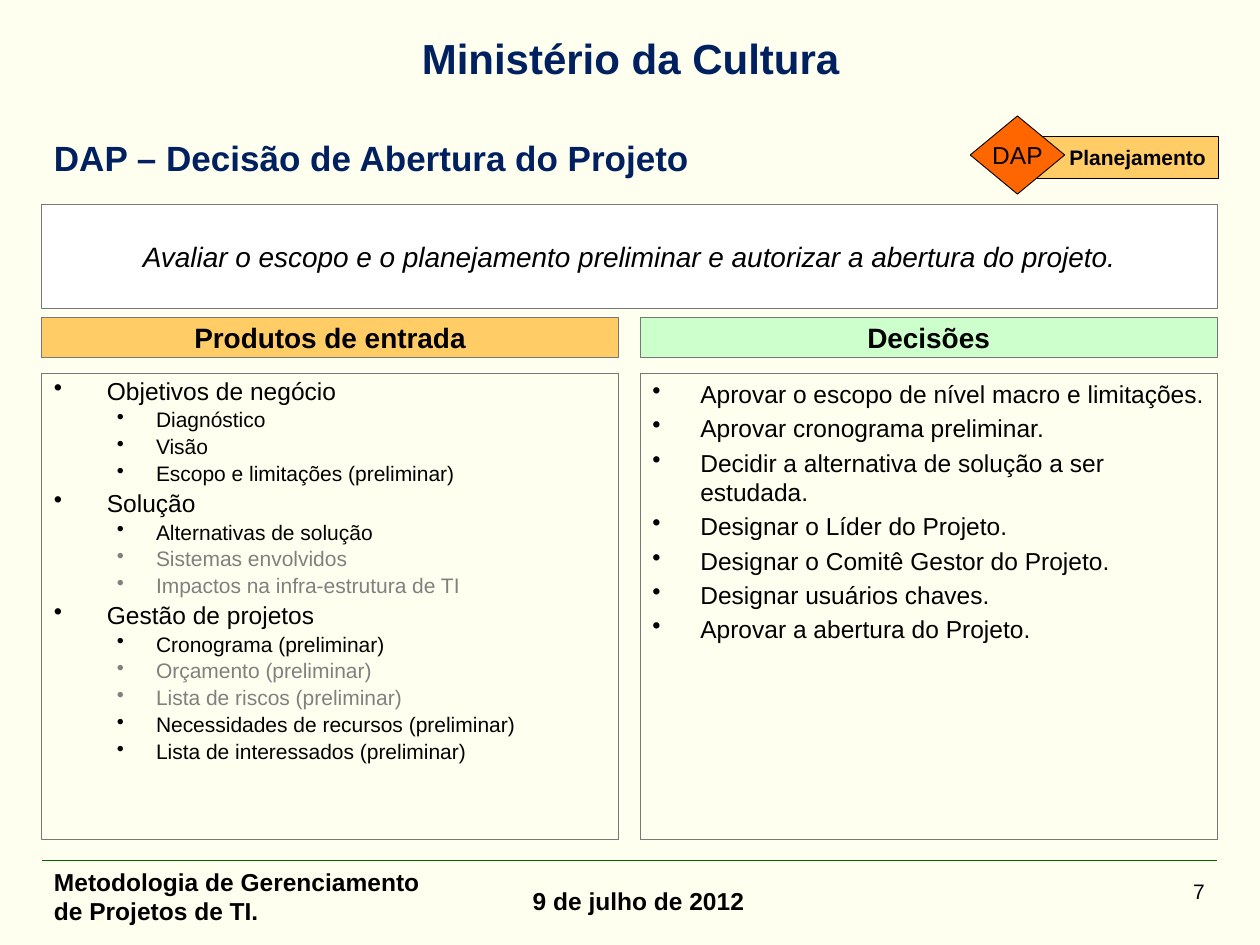
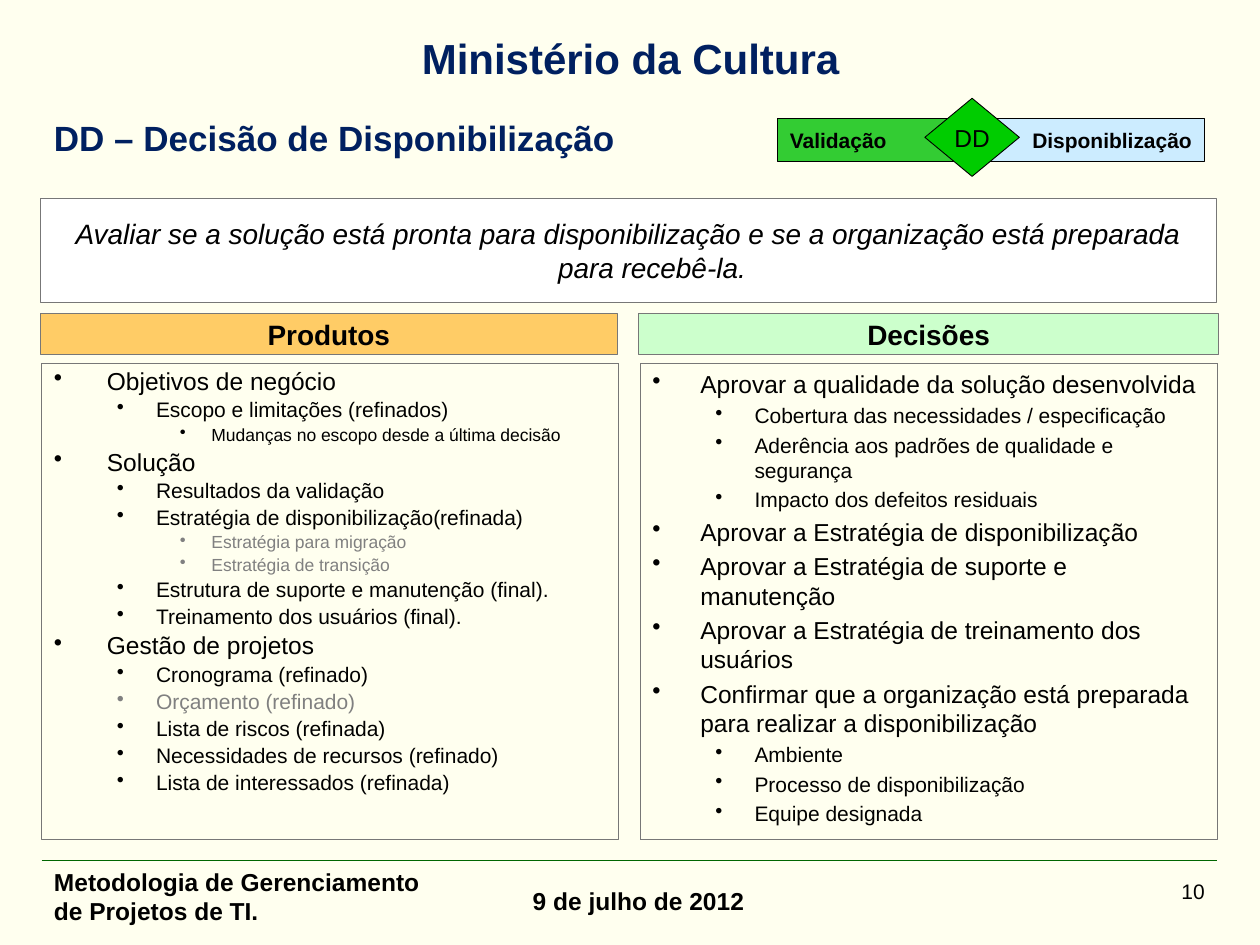
import pptx
import pptx.util
import pptx.dml.color
import pptx.enum.dml
import pptx.enum.shapes
import pptx.enum.text
import pptx.oxml
import pptx.oxml.ns
from lxml import etree

Inches, Pt = pptx.util.Inches, pptx.util.Pt
ALIGN = pptx.enum.text.PP_ALIGN
ANCHOR = pptx.enum.text.MSO_ANCHOR
KIND = pptx.enum.shapes.MSO_SHAPE

# Shared look
COLORS = {
    "page": "FFFFEF", "navy": "002060", "black": "000000", "grey": "808080",
    "edge": "777777", "rule": "006600", "white": "FFFFFF",
    "amber": "FFCC66", "mint": "CCFFCC", "orange": "FF6600",
    "sky": "CCECFF", "leaf": "33CC33", "green": "00CC00",
}
FONT = "Arial"
SIZES = (14, 12, 10)
LEFT, WIDE, FOOT = 0.33, 9.33, 6.83
COLS = (LEFT, 5.08)
COL_W, BOX_END = 4.58, 6.66
HANG = (0.38, -0.38)
# Indents by level for the inputs column and the decisions column
INDENTS = (
    ((0.42, -0.42), (0.81, -0.31), (1.25, -0.25)),
    (HANG, (0.81, -0.31)),
)
LEADS = (0.9, None)

# Content: list items are (level, text[, colour])
SLIDES = [
    {
        "title": "DAP – Decisão de Abertura do Projeto", "page": "7",
        "goal": "Avaliar o escopo e o planejamento preliminar e autorizar "
                "a abertura do projeto.",
        "heads": ("Produtos de entrada", "Decisões"),
        "tops": {"title": 1.0, "goal": 1.62, "head": 2.52, "list": 2.96},
        "head_x": COLS, "head_w": (COL_W, COL_W), "goal_x": LEFT,
        "phases": [("Planejamento", "amber", 8.17, 1.5, ALIGN.RIGHT)],
        "gate": ("DAP", "orange", 7.7, 0.92),
        "lists": (
            [
                (0, "Objetivos de negócio"),
                (1, "Diagnóstico"),
                (1, "Visão"),
                (1, "Escopo e limitações (preliminar)"),
                (0, "Solução"),
                (1, "Alternativas de solução"),
                (1, "Sistemas envolvidos", "grey"),
                (1, "Impactos na infra-estrutura de TI", "grey"),
                (0, "Gestão de projetos"),
                (1, "Cronograma (preliminar)"),
                (1, "Orçamento (preliminar)", "grey"),
                (1, "Lista de riscos (preliminar)", "grey"),
                (1, "Necessidades de recursos (preliminar)"),
                (1, "Lista de interessados (preliminar)"),
            ],
            [
                (0, "Aprovar o escopo de nível macro e limitações."),
                (0, "Aprovar cronograma preliminar."),
                (0, "Decidir a alternativa de solução a ser estudada."),
                (0, "Designar o Líder do Projeto."),
                (0, "Designar o Comitê Gestor do Projeto."),
                (0, "Designar usuários chaves."),
                (0, "Aprovar a abertura do Projeto."),
            ],
        ),
    },
    {
        "title": "DD – Decisão de Disponibilização", "page": "10",
        "goal": "Avaliar se a solução está pronta para disponibilização e se "
                "a organização está preparada para recebê-la.",
        "heads": ("Produtos", "Decisões"),
        "tops": {"title": 0.84, "goal": 1.57, "head": 2.49, "list": 2.88},
        "head_x": (0.32, 5.07), "head_w": (COL_W, 4.6), "goal_x": 0.32,
        "phases": [
            ("Disponiblização", "sky", 7.81, 1.75, ALIGN.RIGHT),
            ("Validação", "leaf", 6.17, 1.4, ALIGN.LEFT),
        ],
        "gate": ("DD", "green", 7.34, 0.78),
        "lists": (
            [
                (0, "Objetivos de negócio"),
                (1, "Escopo e limitações (refinados)"),
                (2, "Mudanças no escopo desde a última decisão"),
                (0, "Solução"),
                (1, "Resultados da validação"),
                (1, "Estratégia de disponibilização(refinada)"),
                (2, "Estratégia para migração", "grey"),
                (2, "Estratégia de transição", "grey"),
                (1, "Estrutura de suporte e manutenção (final)."),
                (1, "Treinamento dos usuários (final)."),
                (0, "Gestão de projetos"),
                (1, "Cronograma (refinado)"),
                (1, "Orçamento (refinado)", "grey"),
                (1, "Lista de riscos (refinada)"),
                (1, "Necessidades de recursos (refinado)"),
                (1, "Lista de interessados (refinada)"),
            ],
            [
                (0, "Aprovar a qualidade da solução desenvolvida"),
                (1, "Cobertura das necessidades / especificação"),
                (1, "Aderência aos padrões de qualidade e segurança"),
                (1, "Impacto dos defeitos residuais"),
                (0, "Aprovar a Estratégia de disponibilização"),
                (0, "Aprovar a Estratégia de suporte e manutenção"),
                (0, "Aprovar a Estratégia de treinamento dos usuários"),
                (0, "Confirmar que a organização está preparada para "
                    "realizar a disponibilização"),
                (1, "Ambiente"),
                (1, "Processo de disponibilização"),
                (1, "Equipe designada"),
            ],
        ),
    },
]


# Helpers
def color(name):
    return pptx.dml.color.RGBColor.from_string(COLORS[name])


def write(par, text, size, tone="black", bold=False, slant=False,
          align=ALIGN.LEFT, indent=None, gap=False):
    par.alignment = align
    if gap:
        par.space_before = Pt(round(size * 0.2, 1))
    if indent:
        props = par._p.get_or_add_pPr()
        props.set("marL", str(Inches(indent[0])))
        props.set("indent", str(Inches(indent[1])))
    run = par.add_run()
    run.text = text
    font = run.font
    font.name, font.size = FONT, Pt(size)
    font.bold, font.italic = bold, slant
    font.color.rgb = color(tone)


def label(slide, at, text, size, anchor=ANCHOR.TOP, **style):
    box = slide.shapes.add_textbox(*map(Inches, at))
    frame = box.text_frame
    frame.word_wrap, frame.vertical_anchor = True, anchor
    write(frame.paragraphs[0], text, size, **style)


def block(slide, at, fill, edge, width, kind=KIND.RECTANGLE):
    shape = slide.shapes.add_shape(kind, *map(Inches, at))
    shape.shadow.inherit = False
    if fill:
        shape.fill.solid()
        shape.fill.fore_color.rgb = color(fill)
    else:
        shape.fill.background()
    shape.line.color.rgb = color(edge)
    shape.line.width = Pt(width)
    shape.text_frame.word_wrap = True
    shape.text_frame.vertical_anchor = ANCHOR.MIDDLE
    return shape


def band(slide, at, fill, width, text, size, **style):
    shape = block(slide, at, fill, style.pop("edge", "edge"), width)
    write(shape.text_frame.paragraphs[0], text, size, **style)


def listing(slide, at, items, indents, lead):
    shape = block(slide, at, None, "edge", 0.25)
    shape.line.dash_style = pptx.enum.dml.MSO_LINE.ROUND_DOT
    frame = shape.text_frame
    frame.vertical_anchor = ANCHOR.TOP
    for n, (level, text, *tone) in enumerate(items):
        par = frame.add_paragraph() if n else frame.paragraphs[0]
        par.level = level
        if lead:
            par.line_spacing = lead
        write(par, text, SIZES[level], *tone, indent=indents[level], gap=True)
        mark = etree.SubElement(par._p.pPr, pptx.oxml.ns.qn("a:buChar"))
        mark.set("char", "•")


def base(slide, page):
    slide.background.fill.solid()
    slide.background.fill.fore_color.rgb = color("page")
    ends = (LEFT, FOOT, LEFT + WIDE, FOOT)
    rule = slide.shapes.add_connector(
        pptx.enum.shapes.MSO_CONNECTOR.STRAIGHT, *map(Inches, ends))
    rule.line.color.rgb = color("rule")
    rule.line.width = Pt(0.75)
    etree.SubElement(rule._element.spPr, pptx.oxml.ns.qn("a:effectLst"))
    label(slide, (4.13, 6.98, 2.2, 0.39), "9 de julho de 2012", 14,
          bold=True, gap=True)
    label(slide, (0.47, 0.21, 9.07, 0.5), "Ministério da Cultura", 24,
          tone="navy", bold=True, align=ALIGN.CENTER)
    label(slide, (7.58, 6.92, 2.08, 0.5), page, 12, align=ALIGN.RIGHT)
    label(slide, (LEFT, FOOT, 3.33, 0.5),
          "Metodologia de Gerenciamento de Projetos de TI.", 14, bold=True)


def build(slide, data):
    base(slide, data["page"])
    tops = data["tops"]
    label(slide, (LEFT, tops["title"], WIDE, 0.5), data["title"], 20,
          anchor=ANCHOR.MIDDLE, tone="navy", bold=True)

    # Two columns: list box and heading
    mid = {"align": ALIGN.CENTER, "indent": HANG, "gap": True}
    top = tops["list"]
    for n, fill in enumerate(("amber", "mint")):
        listing(slide, (COLS[n], top, COL_W, BOX_END - top),
                data["lists"][n], INDENTS[n], LEADS[n])
        band(slide, (data["head_x"][n], tops["head"], data["head_w"][n], 0.32),
             fill, 0.5, data["heads"][n], 16, bold=True, **mid)

    # Goal of the decision
    band(slide, (data["goal_x"], tops["goal"], WIDE, 0.83), "white", 0.25,
         data["goal"], 16, slant=True, **mid)

    # Phase bars and decision gate
    text, fill, x, y = data["gate"]
    for name, tint, left, width, align in data["phases"]:
        band(slide, (left, y + 0.16, width, 0.34), tint, 0.5, name, 12,
             edge="black", bold=True, align=align)
    gate = block(slide, (x, y, 0.75, 0.62), fill, "black", 0.5, KIND.DIAMOND)
    gate.text_frame.word_wrap = False
    write(gate.text_frame.paragraphs[0], text, 14, align=ALIGN.CENTER)


def main():
    deck = pptx.Presentation()
    deck.slide_width, deck.slide_height = Inches(10), Inches(7.5)
    for data in SLIDES:
        build(deck.slides.add_slide(deck.slide_layouts[6]), data)
    deck.save("out.pptx")


if __name__ == "__main__":
    main()
